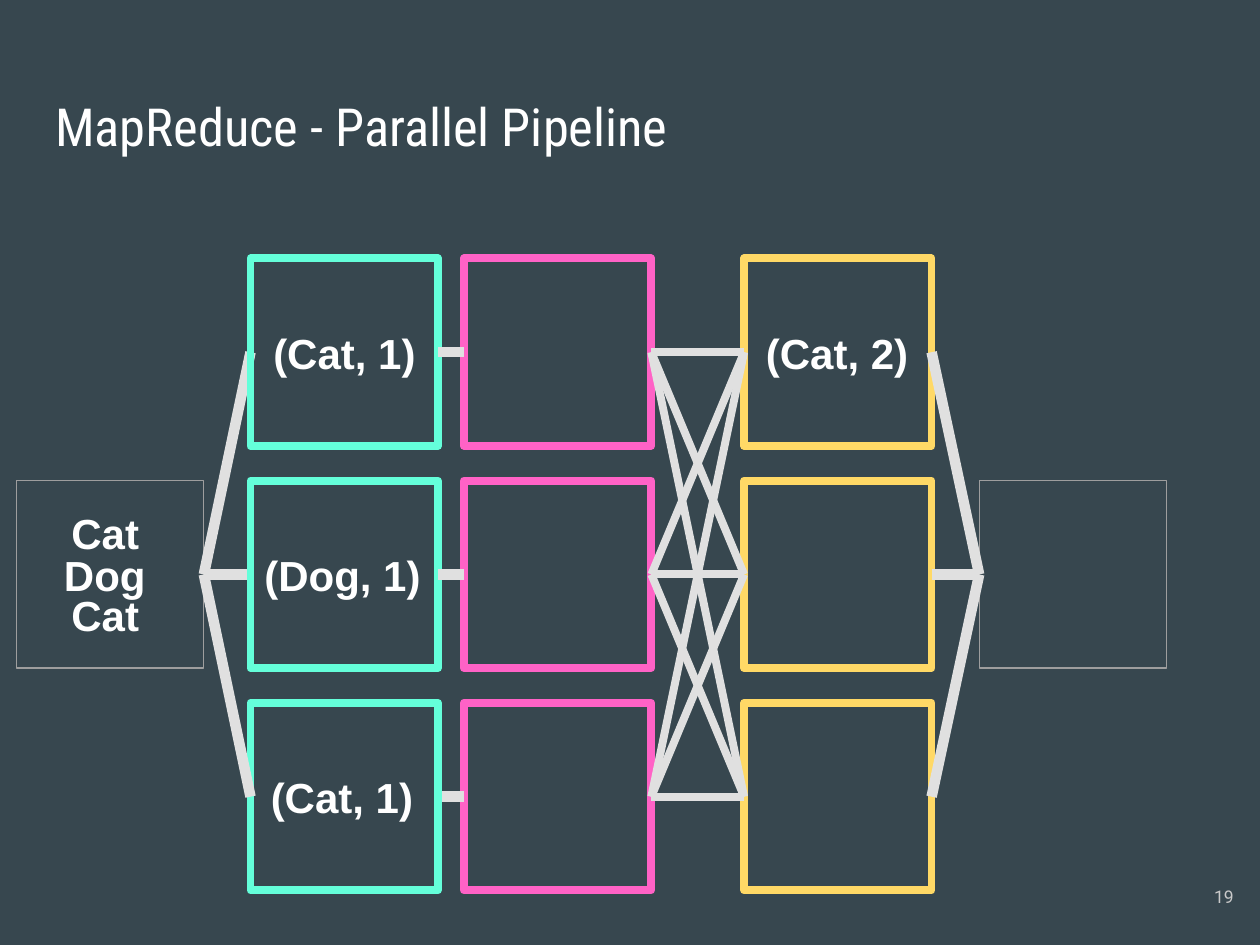
from itertools import product

from lxml import etree
from pptx import Presentation
from pptx.dml.color import RGBColor
from pptx.enum.shapes import MSO_CONNECTOR, MSO_SHAPE
from pptx.enum.text import MSO_ANCHOR, PP_ALIGN
from pptx.oxml.ns import qn
from pptx.util import Cm, Pt

STRAIGHT = MSO_CONNECTOR.STRAIGHT
RECTANGLE = MSO_SHAPE.RECTANGLE
TOP, MIDDLE = MSO_ANCHOR.TOP, MSO_ANCHOR.MIDDLE
LEFT, RIGHT = PP_ALIGN.LEFT, PP_ALIGN.RIGHT

COLORS = {
    "background": "37474F", "text": "FFFFFF", "number": "CACACA",
    "link": "E0E0E0", "store": "9E9E9E",
    "map": "64FFDA", "combine": "FF62C6", "reduce": "FFD966",
}

# Grid in centimetres: five stages across, three parallel rows
SIDE = 3.78
ROWS = [5.21 + 4.48 * row for row in range(3)]
STAGES = {"input": 0.33, "map": 5.05, "combine": 9.35,
          "reduce": 15.0, "output": 19.74}

deck = Presentation()
deck.slide_width, deck.slide_height = Cm(25.4), Cm(19.05)
page = deck.slides.add_slide(deck.slide_layouts[6])
page.background.fill.solid()
page.background.fill.fore_color.rgb = RGBColor.from_string(COLORS["background"])


def write(text, left, top, width, height, size=24, font="Arial", bold=False,
          color="text", align=LEFT, anchor=TOP, wrap=True, inset=0.25):
    box = page.shapes.add_textbox(Cm(left), Cm(top), Cm(width), Cm(height))
    frame = box.text_frame
    frame.word_wrap = wrap
    frame.vertical_anchor = anchor
    frame.margin_left = frame.margin_right = Cm(0.25)
    frame.margin_top = frame.margin_bottom = Cm(inset)
    para = frame.paragraphs[0]
    para.alignment = align
    span = para.add_run()
    span.text = text
    span.font.size, span.font.name, span.font.bold = Pt(size), font, bold
    span.font.color.rgb = RGBColor.from_string(COLORS[color])


def connect(start, start_row, end, end_row, weight=6):
    line = page.shapes.add_connector(
        STRAIGHT,
        Cm(STAGES[start] + SIDE), Cm(ROWS[start_row] + SIDE / 2),
        Cm(STAGES[end]), Cm(ROWS[end_row] + SIDE / 2))
    line.line.color.rgb = RGBColor.from_string(COLORS["link"])
    line.line.width = Pt(weight)
    etree.SubElement(line._element.spPr, qn("a:effectLst"))


# Title
write("MapReduce - Parallel Pipeline", 0.86, 1.65, 23.67, 2.11,
      size=30, font="Roboto Condensed")

# Stage squares; the map column covers the ends of three links
for stage, color, weight, rows in [
    ("input", "store", 0.75, ROWS[1:2]),
    ("output", "store", 0.75, ROWS[1:2]),
    ("combine", "combine", 4.5, ROWS),
    ("reduce", "reduce", 4.5, ROWS),
    ("map", "map", 4.5, ROWS),
]:
    if stage == "map":
        connect("input", 1, "map", 0)
        connect("input", 1, "map", 1)
        connect("map", 2, "combine", 2)
    holder = page.shapes.add_group_shape().shapes if len(rows) > 1 else page.shapes
    for top in rows:
        square = holder.add_shape(RECTANGLE, Cm(STAGES[stage]), Cm(top),
                                  Cm(SIDE), Cm(SIDE))
        square.shadow.inherit = False
        square.fill.background()
        square.line.color.rgb = RGBColor.from_string(COLORS[color])
        square.line.width = Pt(weight)
        etree.SubElement(square.line._get_or_add_ln(), qn("a:round"))

# Links: all-to-all shuffle, then the remaining one-to-one and fan links
for start_row, end_row in product(range(3), repeat=2):
    connect("combine", start_row, "reduce", end_row, weight=4.5)
for row in range(3):
    connect("reduce", row, "output", 1)
for row in range(2):
    connect("map", row, "combine", row)
connect("input", 1, "map", 2)

# Words and key-value pairs
for text, left, top, width in [
    ("Cat", 1.19, 10.11, 1.9),
    ("Dog", 1.04, 10.95, 2.18),
    ("Cat", 1.19, 11.76, 1.9),
    ("(Cat, 1)", 5.26, 6.48, 3.4),
    ("(Dog, 1)", 5.08, 10.95, 3.68),
    ("(Cat, 1)", 5.21, 15.42, 3.4),
    ("(Cat, 2)", 15.19, 6.48, 3.4),
]:
    write(text, left, top, width, 1.27, bold=True, wrap=False, inset=0.13)

# Page number
write("19", 23.6, 17.35, 1.52, 1.45, size=10, font="Roboto",
      color="number", align=RIGHT, anchor=MIDDLE)

deck.save("out.pptx")
